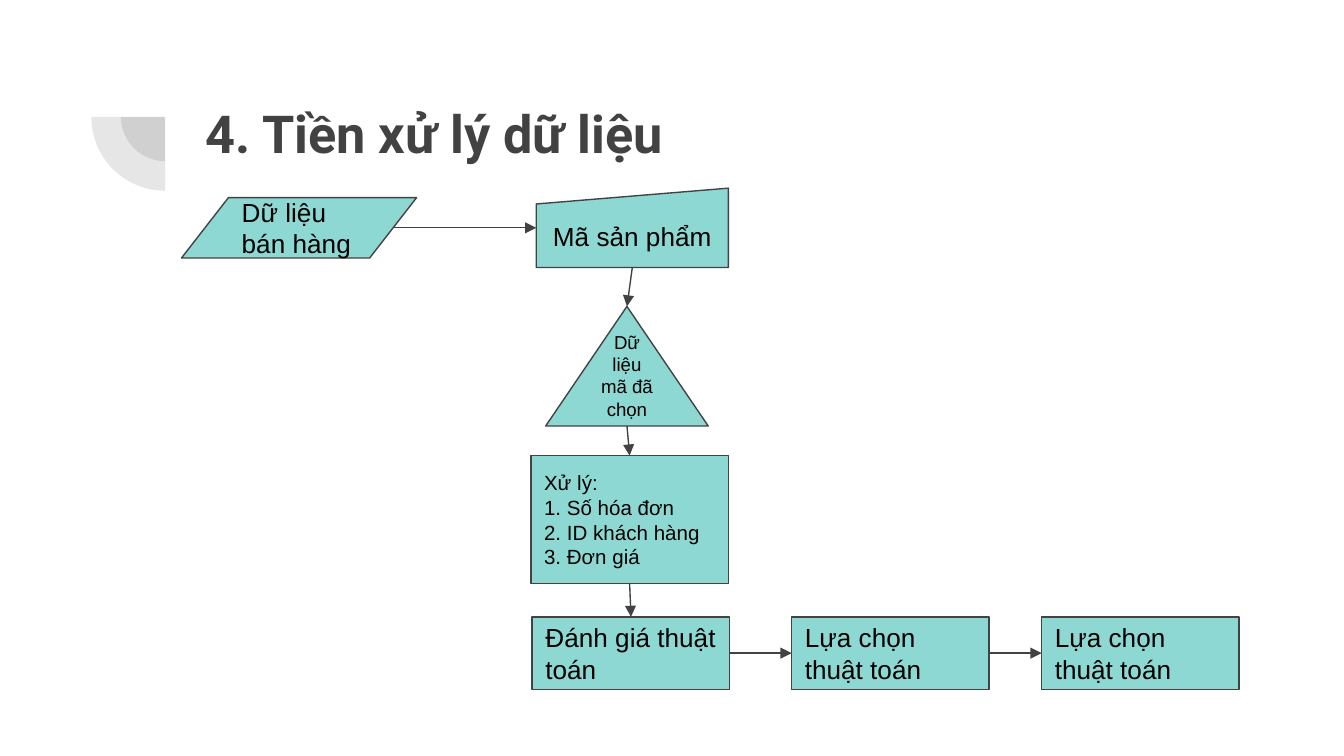
from pptx import Presentation
from pptx.dml.color import RGBColor
from pptx.enum.shapes import MSO_CONNECTOR, MSO_SHAPE as Kind
from pptx.enum.text import MSO_ANCHOR as Anchor, PP_ALIGN as Align
from pptx.oxml.ns import qn
from pptx.util import Inches, Pt
from lxml.etree import SubElement

# Content
TITLE = "4. Tiền xử lý dữ liệu"
DARK, TEAL, BLACK = "424242", "8DD8D3", "000000"
BOX = (1.47, 0.54)
ROW = 4.59

# name: kind, (left, top), (width, height), size, align, lines
STEPS = {
    "sales": (Kind.FLOWCHART_DATA, (1.35, 1.47), (1.75, 0.45), 14, Align.LEFT,
              ["Dữ liệu bán hàng"]),
    "code": (Kind.FLOWCHART_MANUAL_INPUT, (3.99, 1.4), (1.43, 0.59), 14,
             Align.CENTER, ["Mã sản phẩm"]),
    "chosen": (Kind.FLOWCHART_EXTRACT, (4.06, 2.28), (1.21, 0.89), 10,
               Align.CENTER, ["Dữ liệu mã đã chọn"]),
    "process": (Kind.FLOWCHART_PROCESS, (3.95, 3.39), (1.47, 0.95), 11,
                Align.LEFT, ["Xử lý:", "1. Số hóa đơn", "2. ID khách hàng",
                             "3. Đơn giá"]),
    "rate": (Kind.FLOWCHART_PROCESS, (3.96, ROW), BOX, 14, Align.LEFT,
             ["Đánh giá thuật toán"]),
    "pick": (Kind.FLOWCHART_PROCESS, (5.89, ROW), BOX, 14, Align.LEFT,
             ["Lựa chọn thuật toán"]),
    "final": (Kind.FLOWCHART_PROCESS, (7.75, ROW), BOX, 14, Align.LEFT,
              ["Lựa chọn thuật toán"]),
}
ACROSS = [("sales", "code"), ("rate", "pick"), ("pick", "final")]
DOWN = [("code", "chosen"), ("chosen", "process"), ("process", "rate")]
TOP, LEFT, BOTTOM, RIGHT = range(4)  # connection sites


def color(code):
    return RGBColor.from_string(code)


def paint(shape, code):
    shape.shadow.inherit = False
    shape.fill.solid()
    shape.fill.fore_color.rgb = color(code)


def pad(frame, anchor):
    frame.word_wrap = True
    frame.vertical_anchor = anchor
    frame.margin_left = frame.margin_right = Inches(0.1)
    frame.margin_top = frame.margin_bottom = Inches(0.1)


def style(para, name, size, code, bold=False):
    font = para.font
    font.name, font.size, font.bold = name, Pt(size), bold
    font.color.rgb = color(code)


def add_step(kind, spot, size, points, align, lines):
    shape = shapes.add_shape(kind, *map(Inches, spot + size))
    paint(shape, TEAL)
    shape.line.color.rgb = color(DARK)
    shape.line.width = Pt(0.75)
    frame = shape.text_frame
    pad(frame, Anchor.MIDDLE)
    frame.text = "\n".join(lines)
    for para in frame.paragraphs:
        para.alignment = align
        style(para, "Arial", points, BLACK)
    return shape


def add_arrow(start, end, out, into):
    # The slanted side of the data shape lies a tenth of its width inside
    x = start.left + int(start.width * 0.9)
    y = start.top + start.height // 2
    line = shapes.add_connector(MSO_CONNECTOR.STRAIGHT, x, y, x, y)
    if start.auto_shape_type != Kind.FLOWCHART_DATA:
        line.begin_connect(start, out)
    line.end_connect(end, into)
    line.line.color.rgb = color(DARK)
    line.line.width = Pt(0.75)
    props = line.line._get_or_add_ln()
    SubElement(props, qn("a:tailEnd"), type="triangle")
    SubElement(line._element.spPr, qn("a:effectLst"))


deck = Presentation()
deck.slide_width = Inches(10)
deck.slide_height = deck.slide_width * 9 // 16
slide = deck.slides.add_slide(deck.slide_layouts[5])
shapes = slide.shapes

# Quarter circles around one centre
for radius in (0.33, 0.55):
    pie = shapes.add_shape(Kind.PIE, Inches(1.23 - radius),
                           Inches(0.87 - radius),
                           Inches(2 * radius), Inches(2 * radius))
    pie.adjustments[0], pie.adjustments[1] = 54, 108
    paint(pie, DARK)
    pie.line.fill.background()
    tone = pie.fill._xPr.find(".//" + qn("a:srgbClr"))
    SubElement(tone, qn("a:alpha"), val="13000")

# Title
title = shapes.title
title.left, title.top = Inches(1.43), Inches(0.65)
title.width, title.height = Inches(7.69), Inches(0.78)
title.text_frame.text = TITLE
pad(title.text_frame, Anchor.TOP)
head = title.text_frame.paragraphs[0]
head.alignment = Align.LEFT
style(head, "Roboto", 28, DARK, True)

# Flow chart
steps = {name: add_step(*step) for name, step in STEPS.items()}
# Lift the text in the triangle
steps["chosen"].text_frame.margin_top = Inches(-0.21)
for start, end in ACROSS:
    add_arrow(steps[start], steps[end], RIGHT, LEFT)
for start, end in DOWN:
    add_arrow(steps[start], steps[end], BOTTOM, TOP)

deck.save("out.pptx")
